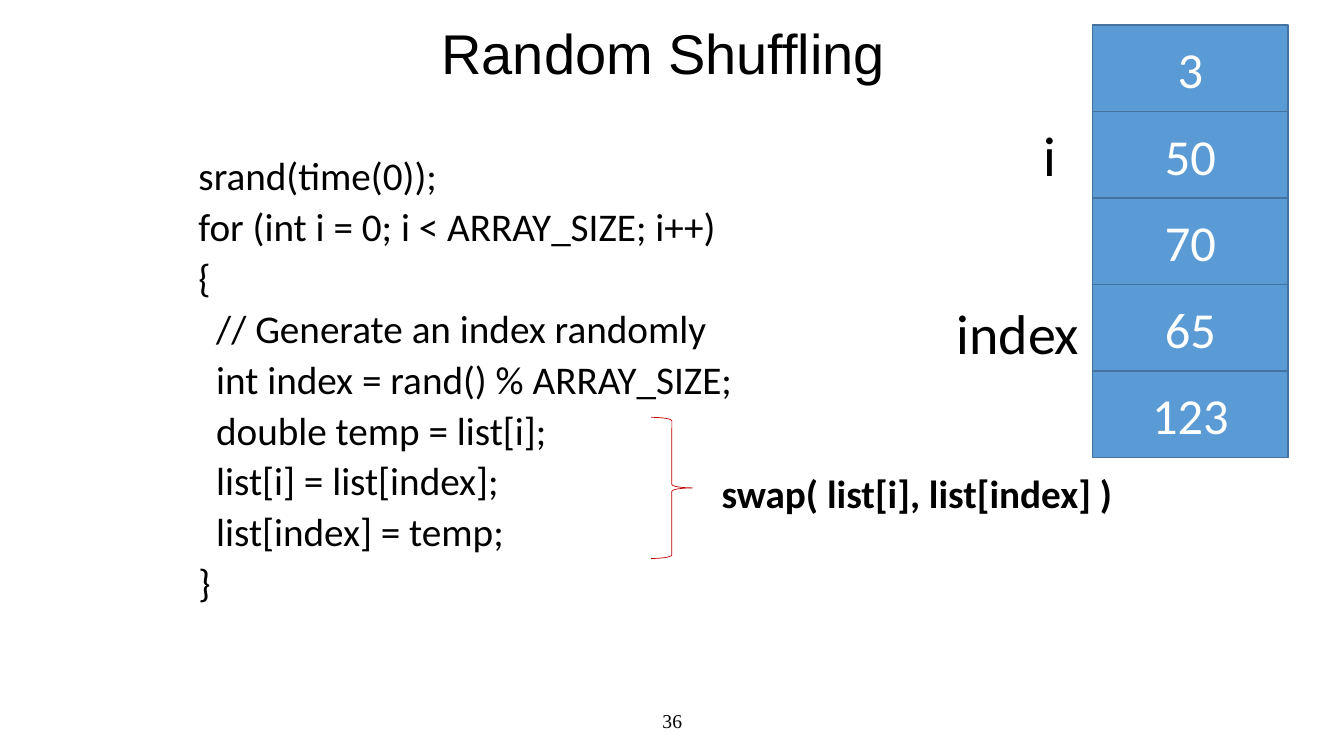
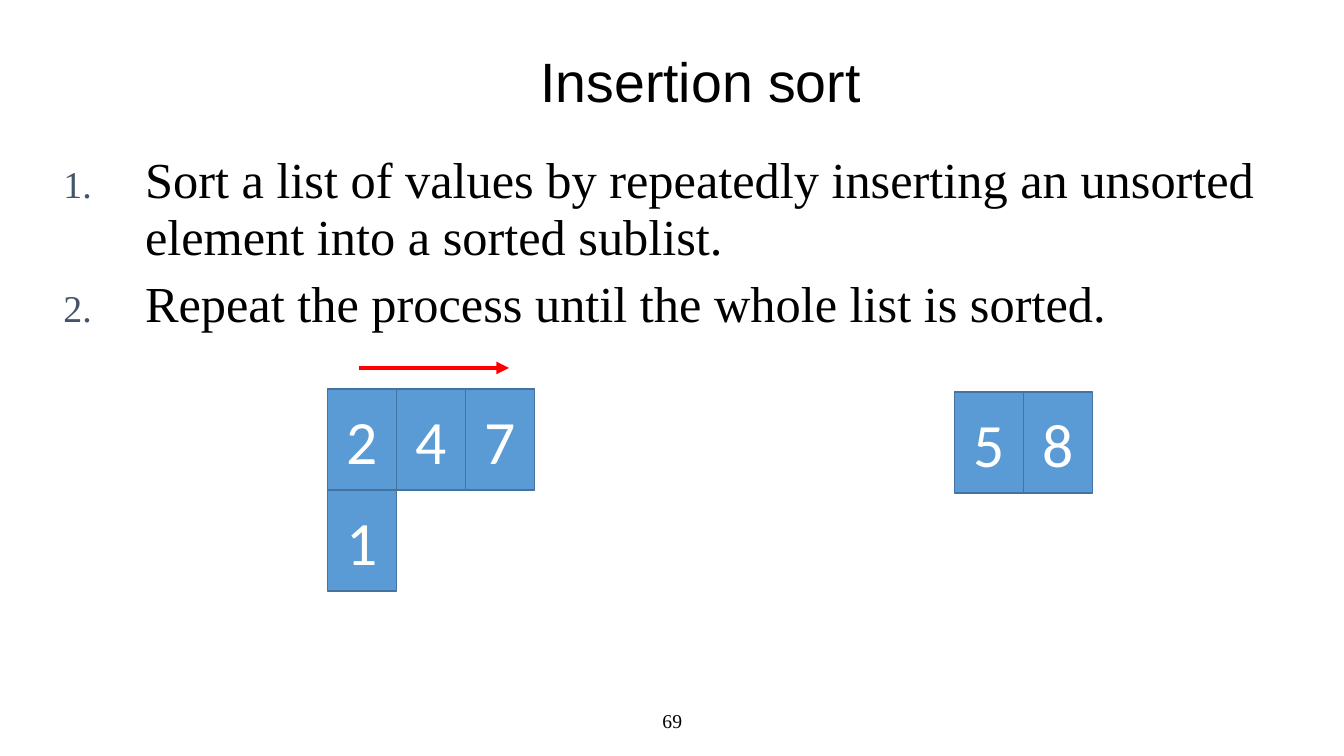
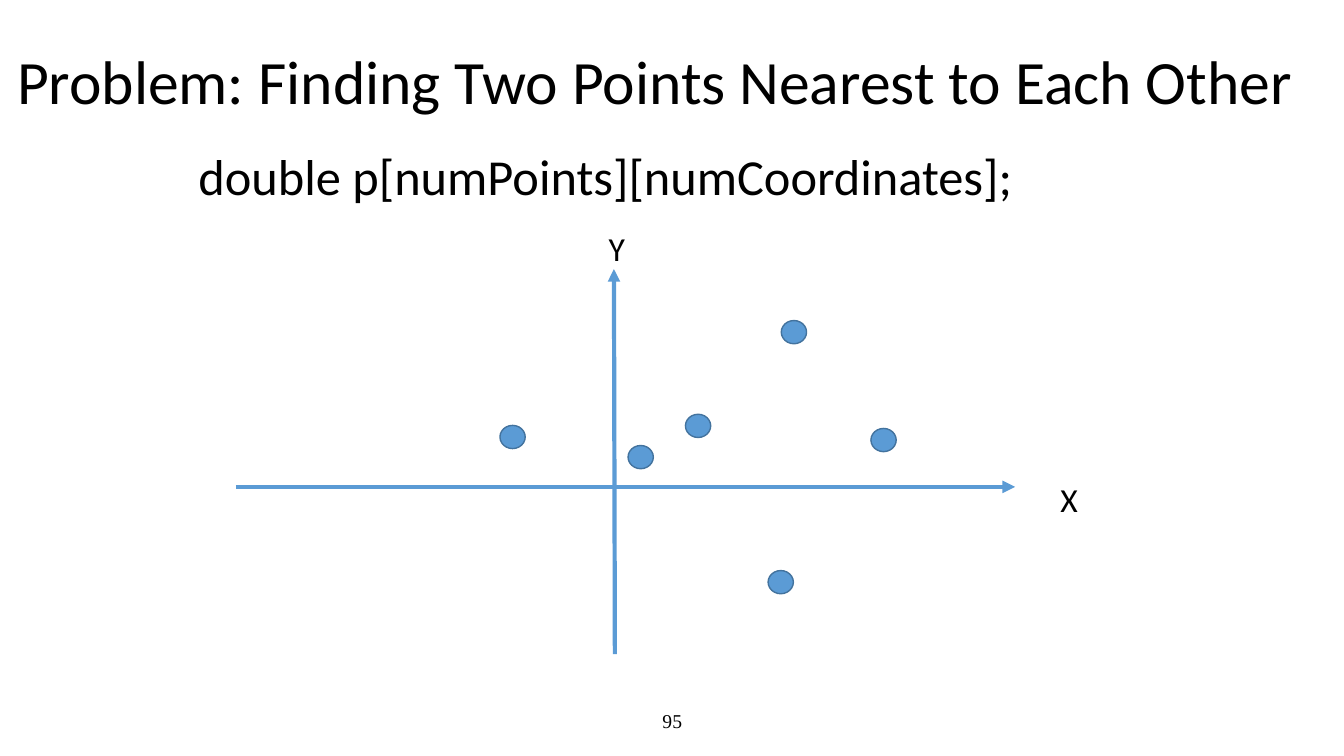
from pptx import Presentation
from pptx.dml.color import RGBColor
from pptx.enum.shapes import MSO_CONNECTOR, MSO_SHAPE
from pptx.enum.text import MSO_ANCHOR, PP_ALIGN
from pptx.oxml.ns import qn
from pptx.util import Inches, Pt
from lxml import etree

RECT = MSO_SHAPE.RECTANGLE
OVAL = MSO_SHAPE.OVAL
BRACE = MSO_SHAPE.RIGHT_BRACE
LINE = MSO_CONNECTOR.STRAIGHT
LEFT, CENTER = PP_ALIGN.LEFT, PP_ALIGN.CENTER
TOP, MIDDLE = MSO_ANCHOR.TOP, MSO_ANCHOR.MIDDLE

WIDTH, HEIGHT = Inches(40 / 3), Inches(7.5)
SANS, HEAD, SERIF = "Calibri", "Arial", "Times New Roman"
COLORS = {
    "text": "000000",
    "white": "FFFFFF",
    "blue": "5B9BD5",
    "edge": "43739E",
    "brace": "C00000",
    "red": "FF0000",
    "number": "44546A",
}

CODE = """srand(time(0));
for (int i = 0; i < ARRAY_SIZE; i++)
{
  // Generate an index randomly
  int index = rand() % ARRAY_SIZE;
  double temp = list[i];
  list[i] = list[index];
  list[index] = temp;
}"""
STEPS = """Sort a list of values by repeatedly inserting an unsorted element into a sorted sublist.
Repeat the process until the whole list is sorted."""
DOTS = [(58.13, 42.4), (57.15, 75.47), (37.2, 56.27),
        (46.73, 58.93), (51, 54.8), (64.8, 56.67)]


def color(name):
    return RGBColor.from_string(COLORS[name])


def place(*box):
    """Turn percent of slide width and height, in turn, into lengths."""
    return [int(share * (HEIGHT if i % 2 else WIDTH) / 100)
            for i, share in enumerate(box)]


def style(frame, size, font=SANS, tint="text", align=LEFT, anchor=TOP,
          bold=False, lines=1.0, gap=0):
    """Format all text of a frame; gap is the space between paragraphs."""
    frame.vertical_anchor = anchor
    for i, para in enumerate(frame.paragraphs):
        para.alignment = align
        para.line_spacing = lines
        para.space_before = Pt(gap if i else 0)
        for run in para.runs:
            run.font.size = Pt(size)
            run.font.name = font
            run.font.bold = bold
            run.font.color.rgb = color(tint)


def add_text(slide, box, text, size, wrap=False, **look):
    frame = slide.shapes.add_textbox(*place(*box)).text_frame
    frame.word_wrap = wrap
    frame.text = text
    style(frame, size, **look)
    return frame


def add_title(slide, box, text, size=40, font=HEAD, align=CENTER):
    add_text(slide, box, text, size, wrap=True, font=font, align=align,
             anchor=MIDDLE, lines=0.9)


def add_shape(slide, kind, box, fill="blue", edge="edge", width=1):
    shape = slide.shapes.add_shape(kind, *place(*box))
    shape.shadow.inherit = False
    if fill:
        shape.fill.solid()
        shape.fill.fore_color.rgb = color(fill)
    else:
        shape.fill.background()
    shape.line.color.rgb = color(edge)
    shape.line.width = Pt(width)
    return shape


def add_cells(slide, left, top, wide, high, rows, size):
    """Draw rows of touching number cells from a top left corner."""
    for r, row in enumerate(rows):
        for c, value in enumerate(row):
            box = (left + c * wide, top + r * high, wide, high)
            frame = add_shape(slide, RECT, box).text_frame
            frame.text = value
            style(frame, size, tint="white", align=CENTER, anchor=MIDDLE)


def add_arrow(slide, ends, tint):
    arrow = slide.shapes.add_connector(LINE, *place(*ends))
    arrow.line.color.rgb = color(tint)
    arrow.line.width = Pt(3)
    etree.SubElement(arrow.line._get_or_add_ln(), qn("a:tailEnd"),
                     type="triangle")
    etree.SubElement(arrow._element.spPr, qn("a:effectLst"))


def add_steps(slide, box, text):
    """Add a numbered list."""
    frame = add_text(slide, box, text, 36, wrap=True, font=SERIF,
                     lines=0.95, gap=7)
    indent = Inches(0.81)
    for para in frame.paragraphs:
        props = para._p.get_or_add_pPr()
        props.set("marL", str(indent))
        props.set("indent", str(-indent))
        tint = etree.SubElement(props, qn("a:buClr"))
        etree.SubElement(tint, qn("a:srgbClr"), val=COLORS["number"])
        etree.SubElement(props, qn("a:buSzPct"), val="75000")
        etree.SubElement(props, qn("a:buFont"), typeface=SERIF)
        etree.SubElement(props, qn("a:buAutoNum"), type="arabicPeriod")


def add_slide(deck, number):
    slide = deck.slides.add_slide(deck.slide_layouts[6])
    add_text(slide, (33.15, 92.67, 33.75, 5.33), number, 14, wrap=True,
             font=SERIF, align=CENTER, anchor=MIDDLE)
    return slide


def draw_shuffle(deck):
    slide = add_slide(deck, "36")
    add_title(slide, (0, 0.27, 98.7, 14.4), "Random Shuffling")
    add_text(slide, (14.03, 20.53, 70.88, 69.47), CODE, 28, wrap=True,
             lines=0.8, gap=9.5)
    values = ["3", "50", "70", "65", "123"]
    add_cells(slide, 81.3, 3.33, 14.55, 11.44, [[v] for v in values], 36)
    add_shape(slide, BRACE, (48.45, 55.2, 3.08, 18.67), fill=None,
              edge="brace", width=0.5)
    add_text(slide, (52.95, 61.47, 30.98, 7.6),
             "swap( list[i], list[index] )", 28, bold=True)
    add_text(slide, (76.88, 15.33, 2.48, 10.27), "i", 40)
    add_text(slide, (70.43, 38.8, 10.73, 10.27), "index", 40)


def draw_insert(deck):
    slide = add_slide(deck, "69")
    add_cells(slide, 24.38, 51.47, 5.13, 13.36, ["247", "1"], 44)
    add_cells(slide, 71.03, 51.87, 5.13, 13.36, ["58"], 44)
    add_arrow(slide, (26.7, 48.67, 37.88, 48.67), "red")
    add_title(slide, (3.98, 6.67, 96.3, 8.93), "Insertion sort", 39.6)
    add_steps(slide, (3.98, 19.47, 94.65, 36.93), STEPS)


def draw_points(deck):
    slide = add_slide(deck, "95")
    add_title(slide, (0.53, 3.33, 99.47, 15.6),
              "Problem: Finding Two Points Nearest to Each Other",
              44, SANS, LEFT)
    add_text(slide, (14.03, 18.53, 62.63, 9.47),
             "double p[numPoints][numCoordinates];", 36)
    add_arrow(slide, (17.55, 64.4, 75.53, 64.4), "blue")
    add_arrow(slide, (45.75, 86.53, 45.68, 35.6), "blue")
    for dot in DOTS:
        add_shape(slide, OVAL, (*dot, 1.88, 3.07))
    add_text(slide, (78.15, 62.67, 2.85, 6.67), "X", 24)
    add_text(slide, (44.55, 29.47, 2.78, 6.67), "Y", 24)


def main():
    deck = Presentation()
    deck.slide_width, deck.slide_height = WIDTH, HEIGHT
    draw_shuffle(deck)
    draw_insert(deck)
    draw_points(deck)
    deck.save("out.pptx")


if __name__ == "__main__":
    main()
